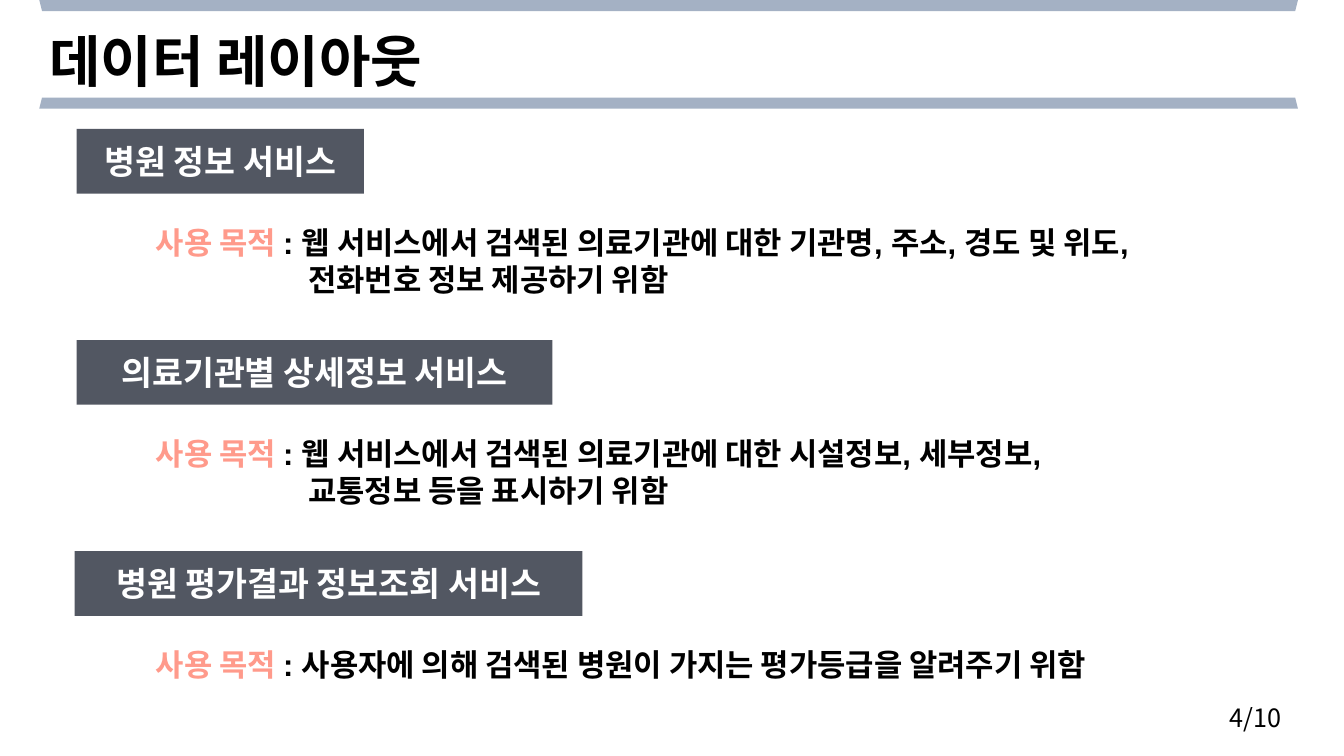
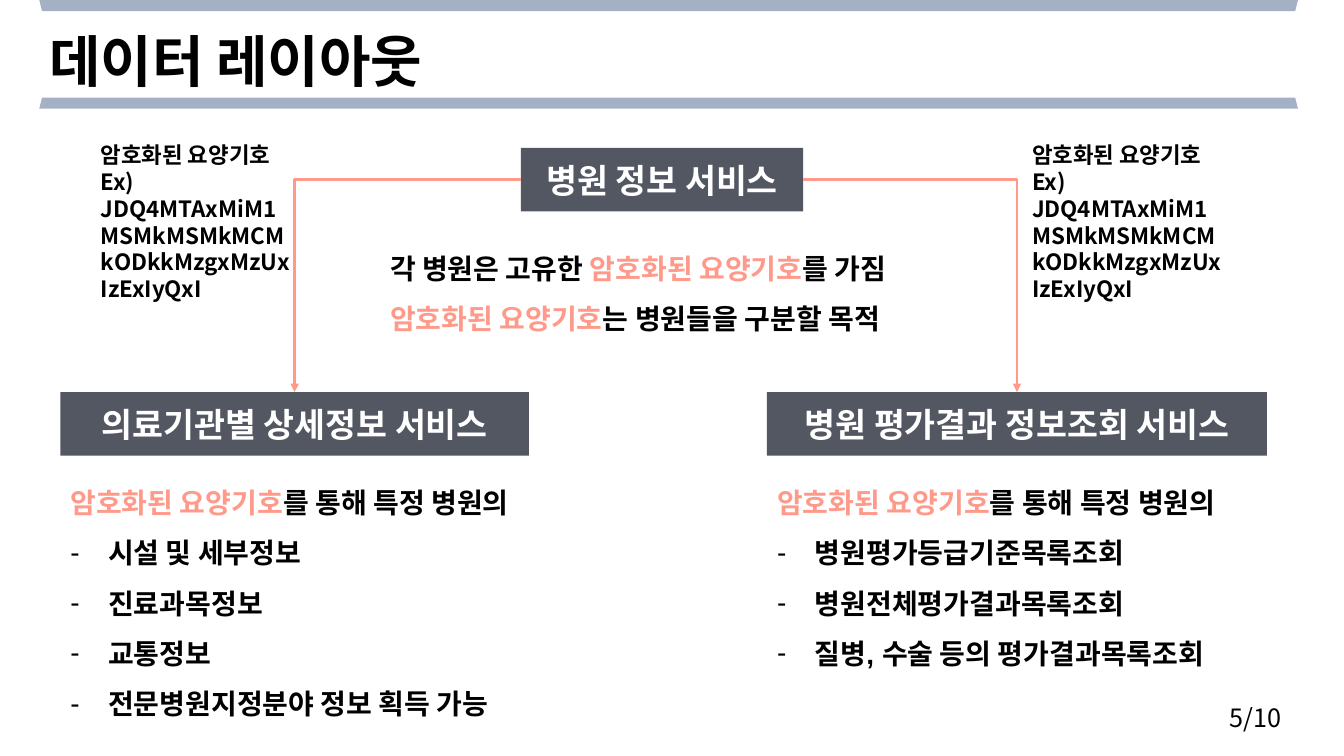
import pptx
import pptx.util
import pptx.dml.color
import pptx.enum.shapes
import pptx.enum.text
import pptx.oxml.ns
from lxml import etree

Cm, Pt = pptx.util.Cm, pptx.util.Pt
RGBColor = pptx.dml.color.RGBColor
MSO_SHAPE = pptx.enum.shapes.MSO_SHAPE
PP_ALIGN = pptx.enum.text.PP_ALIGN
MSO_ANCHOR = pptx.enum.text.MSO_ANCHOR
qn = pptx.oxml.ns.qn

BAND = RGBColor(0xA4, 0xB1, 0xC4)
SLATE = RGBColor(0x40, 0x45, 0x51)
CORAL = RGBColor(0xFF, 0x9A, 0x8B)
BLACK = RGBColor(0, 0, 0)
WHITE = RGBColor(0xFF, 0xFF, 0xFF)
LATIN, KOREAN = "Arial", "Noto Sans CJK KR"

TITLE = "데이터 레이아웃"
HOSPITAL = "병원 정보 서비스"
DETAIL = "의료기관별 상세정보 서비스"
RATING = "병원 평가결과 정보조회 서비스"
CODE = "암호화된 요양기호"
SAMPLE = "Ex) JDQ4MTAxMiM1MSMkMSMkMCMkODkkMzgxMzUxIzExIyQxI"
PURPOSES = [
    (HOSPITAL, 1.93, 7.24,
     [": 웹 서비스에서 검색된 의료기관에 대한 기관명, 주소, 경도 및 위도,",
      "전화번호 정보 제공하기 위함"]),
    (DETAIL, 1.93, 11.99,
     [": 웹 서비스에서 검색된 의료기관에 대한 시설정보, 세부정보,",
      "교통정보 등을 표시하기 위함"]),
    (RATING, 1.88, 12.8,
     [": 사용자에 의해 검색된 병원이 가지는 평가등급을 알려주기 위함"]),
]
DETAIL_ITEMS = ["시설 및 세부정보", "진료과목정보", "교통정보",
                "전문병원지정분야 정보 획득 가능"]
RATING_ITEMS = ["병원평가등급기준목록조회", "병원전체평가결과목록조회",
                "질병, 수술 등의 평가결과목록조회"]


def box(*lengths):
    """Turn centimetre numbers into lengths."""
    return [Cm(n) for n in lengths]


def add_run(p, text, size, color=BLACK, bold=True, font=LATIN):
    """Add one formatted run to a paragraph."""
    r = p.add_run()
    r.text = text
    r.font.size, r.font.bold, r.font.name = Pt(size), bold, font
    r.font.color.rgb = color
    etree.SubElement(r.font._element, qn("a:ea"), typeface=KOREAN)


def add_text(s, left, top, width, height):
    """Add a wrapping text box and return its text frame."""
    tf = s.shapes.add_textbox(*box(left, top, width, height)).text_frame
    tf.word_wrap = True
    return tf


def set_indent(p, margin, indent):
    """Set the left margin and first-line indent of a paragraph."""
    pPr = p._p.get_or_add_pPr()
    pPr.set("marL", str(Cm(margin)))
    pPr.set("indent", str(Cm(indent)))
    return pPr


def add_flat_shape(s, kind, area, color):
    """Add a filled shape without outline or shadow."""
    sp = s.shapes.add_shape(kind, *box(*area))
    sp.shadow.inherit = False
    sp.fill.solid()
    sp.fill.fore_color.rgb = color
    sp.line.fill.background()
    return sp


def add_banner(s, text, left, top, width, height):
    """Add a slightly transparent heading bar."""
    sp = add_flat_shape(s, MSO_SHAPE.RECTANGLE, (left, top, width, height), SLATE)
    color = sp._element.spPr.find(qn("a:solidFill")).find(qn("a:srgbClr"))
    etree.SubElement(color, qn("a:alpha"), val="90000")
    tf = sp.text_frame
    tf.vertical_anchor = MSO_ANCHOR.MIDDLE
    p = tf.paragraphs[0]
    p.alignment = PP_ALIGN.CENTER
    add_run(p, text, 24, WHITE)
    return sp


def place(sp, left, top, width, height):
    """Move a placeholder and return its text frame, anchored to the top."""
    sp.left, sp.top, sp.width, sp.height = box(left, top, width, height)
    tf = sp.text_frame
    tf.word_wrap = True
    tf.auto_size = pptx.enum.text.MSO_AUTO_SIZE.NONE
    tf.vertical_anchor = MSO_ANCHOR.TOP
    return tf


def add_base(prs, layout, page):
    """Add a slide with the shared bands, title and page number."""
    s = prs.slides.add_slide(prs.slide_layouts[layout])
    for top, turn in ((0, 180), (2.46, 0)):
        sp = add_flat_shape(s, MSO_SHAPE.TRAPEZOID, (0.99, top, 31.72, 0.28), BAND)
        sp.rotation = turn
    p = place(s.shapes.title, 0.99, 0.53, 11, 1.96).paragraphs[0]
    p.alignment = PP_ALIGN.LEFT
    add_run(p, TITLE, 40)
    tf = add_text(s, 30.73, 17.58, 2.01, 1.02)
    add_run(tf.paragraphs[0], f"{page}/10", 18, bold=False, font=KOREAN)
    return s


def add_purpose(s, heading, left, top, width, lines):
    """Add a heading bar with its statement of purpose below."""
    add_banner(s, heading, left, top, width, 1.63)
    p = add_text(s, 3.68, top + 2.26, 28.04, 2.13).paragraphs[0]
    set_indent(p, 3.84, -3.84)
    add_run(p, "사용 목적 ", 22, CORAL)
    add_run(p, lines[0], 22)
    for line in lines[1:]:
        p.add_line_break()
        add_run(p, line, 22)


def fill_list(sp, items, left, top, width, height):
    """Fill a body placeholder with a lead line and dashed items."""
    tf = place(sp, left, top, width, height)
    for i, item in enumerate([None] + items):
        p = tf.add_paragraph() if i else tf.paragraphs[0]
        p.line_spacing, p.space_before = 1.5, Pt(0)
        if i:
            pPr = set_indent(p, 0.95, -0.95)
            etree.SubElement(pPr, qn("a:buFont"), typeface=LATIN)
            etree.SubElement(pPr, qn("a:buChar"), char="-")
            add_run(p, item, 20)
        else:
            etree.SubElement(set_indent(p, 0, 0), qn("a:buNone"))
            add_run(p, CODE, 20, CORAL)
            add_run(p, "를 통해 특정 병원의", 20)


def add_branch(s, root, side, child):
    """Join a side of the root to the top of a child with a bent arrow."""
    c = s.shapes.add_connector(pptx.enum.shapes.MSO_CONNECTOR.ELBOW, 0, 0, 0, 0)
    c.begin_connect(root, side)
    c.end_connect(child, 0)
    c.line.color.rgb = CORAL
    c.line.width = Pt(2)
    spPr = c._element.spPr
    spPr.find(qn("a:prstGeom")).set("prst", "bentConnector2")
    etree.SubElement(spPr.find(qn("a:ln")), qn("a:tailEnd"), type="triangle")
    etree.SubElement(spPr, qn("a:effectLst"))


def add_code_sample(s, left, top, width, height):
    """Add the sample of an encrypted code."""
    p = add_text(s, left, top, width, height).paragraphs[0]
    add_run(p, CODE, 16, font=KOREAN)
    p.add_line_break()
    add_run(p, SAMPLE, 16, font=KOREAN)


def add_explanation(s, left, top, width, height):
    """Add the two lines that explain the code."""
    tf = add_text(s, left, top, width, height)
    lines = [[("각 병원은 고유한 ", BLACK), (CODE, CORAL), ("를 가짐", BLACK)],
             [(CODE, CORAL), ("는 병원들을 구분할 목적", BLACK)]]
    for i, line in enumerate(lines):
        p = tf.add_paragraph() if i else tf.paragraphs[0]
        p.line_spacing = 1.5
        for text, color in line:
            add_run(p, text, 20, color)


def purpose_slide(prs):
    """Build the slide listing the purpose of each service."""
    s = add_base(prs, 5, 4)
    for i, (heading, left, width, lines) in enumerate(PURPOSES):
        add_purpose(s, heading, left, 3.25 + i * 5.32, width, lines)


def relation_slide(prs):
    """Build the slide showing how the services are linked."""
    s = add_base(prs, 3, 5)
    root = add_banner(s, HOSPITAL, 13.13, 3.73, 7.11, 1.6)
    bodies = [sp for sp in s.placeholders if sp.placeholder_format.idx]
    branches = [(DETAIL, DETAIL_ITEMS, 1.52, 11.81, 1, 2.29),
                (RATING, RATING_ITEMS, 19.33, 12.6, 3, 25.76)]
    for sp, (heading, items, left, width, side, code_left) in zip(bodies, branches):
        child = add_banner(s, heading, left, 9.88, width, 1.6)
        add_branch(s, root, side, child)
        fill_list(sp, items, left, 11.68, 12.9, 0.25 + 1.29 * (len(items) + 1))
        add_code_sample(s, code_left, 3.43, 5.33, 4.37)
    add_explanation(s, 9.58, 5.79, 14.58, 2.67)


def main():
    """Build and save the presentation."""
    prs = pptx.Presentation()
    prs.slide_width, prs.slide_height = box(33.87, 19.05)
    purpose_slide(prs)
    relation_slide(prs)
    prs.save("out.pptx")


if __name__ == "__main__":
    main()
